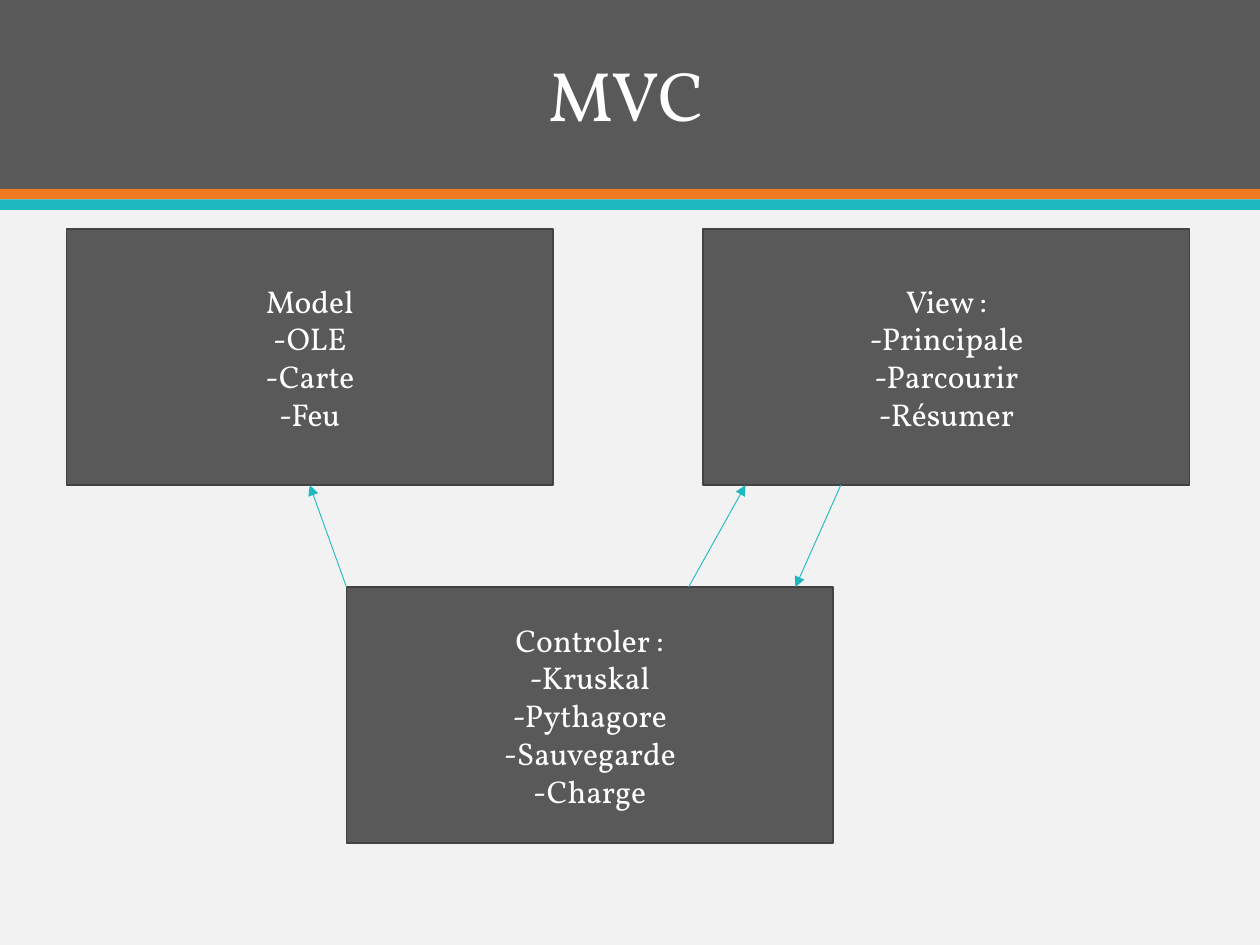
from dataclasses import dataclass

from lxml.etree import SubElement
from pptx import Presentation
from pptx.dml.color import RGBColor
from pptx.enum.shapes import MSO_CONNECTOR, MSO_SHAPE
from pptx.enum.text import MSO_ANCHOR, PP_ALIGN
from pptx.oxml.ns import qn
from pptx.util import Pt

WIDTH, HEIGHT = 720, 540
GREY, BORDER, TEAL, ORANGE = "595959", "424242", "1EB8C1", "EF7920"
WHITE, PAPER = "FFFFFF", "F2F2F2"
BOX_W, BOX_H = 278, 146.2
TOP_Y, LOW_Y = 131, 335.5
TOP_END = TOP_Y + BOX_H


@dataclass
class Band:
    y: float
    h: float
    fill: str


@dataclass
class Box:
    x: float
    y: float
    lines: list[str]


@dataclass
class Arrow:
    x1: float
    y1: float
    x2: float
    y2: float


BANDS = [Band(0, 108, GREY), Band(108, 6, ORANGE), Band(114, 6, TEAL)]
BOXES = [
    Box(38, TOP_Y, ["Model", "-OLE", "-Carte", "-Feu"]),
    Box(401.8, TOP_Y, ["View :", "-Principale", "-Parcourir", "-Résumer"]),
    Box(198, LOW_Y, ["Controler :", "-Kruskal", "-Pythagore", "-Sauvegarde", "-Charge"]),
]
ARROWS = [
    Arrow(198, LOW_Y, 177, TOP_END),
    Arrow(393.5, LOW_Y, 426, TOP_END),
    Arrow(480.5, TOP_END, 454.5, LOW_Y),
]


def rgb(value: str) -> RGBColor:
    return RGBColor.from_string(value)


def set_attrs(obj, values: dict) -> None:
    for name, value in values.items():
        setattr(obj, name, value)


def add_rect(s, x: float, y: float, w: float, h: float, fill: str, line: str = ""):
    sp = s.shapes.add_shape(MSO_SHAPE.RECTANGLE, Pt(x), Pt(y), Pt(w), Pt(h))
    sp.shadow.inherit = False
    sp.fill.solid()
    sp.fill.fore_color.rgb = rgb(fill)
    if line:
        sp.line.color.rgb = rgb(line)
        sp.line.width = Pt(1)
    else:
        sp.line.fill.background()
    return sp


def write(tf, lines: list[str], size: float, anchor: MSO_ANCHOR, spacing: float = 1.0) -> None:
    set_attrs(tf, {"word_wrap": True, "vertical_anchor": anchor})
    for i, line in enumerate(lines):
        p = tf.add_paragraph() if i else tf.paragraphs[0]
        set_attrs(p, {"alignment": PP_ALIGN.CENTER, "line_spacing": spacing})
        r = p.add_run()
        r.text = line
        set_attrs(r.font, {"name": "Vollkorn", "size": Pt(size)})
        r.font.color.rgb = rgb(WHITE)


def add_arrow(s, arrow: Arrow) -> None:
    ends = (Pt(v) for v in (arrow.x1, arrow.y1, arrow.x2, arrow.y2))
    cxn = s.shapes.add_connector(MSO_CONNECTOR.STRAIGHT, *ends)
    cxn.line.color.rgb = rgb(TEAL)
    cxn.line.width = Pt(0.5)
    SubElement(cxn.line._get_or_add_ln(), qn("a:tailEnd"), type="triangle")
    SubElement(cxn._element.spPr, qn("a:effectLst"))


def main() -> None:
    prs = Presentation()
    set_attrs(prs, {"slide_width": Pt(WIDTH), "slide_height": Pt(HEIGHT)})
    s = prs.slides.add_slide(prs.slide_layouts[6])
    s.background.fill.solid()
    s.background.fill.fore_color.rgb = rgb(PAPER)

    # Header bands and title
    for band in BANDS:
        add_rect(s, 0, band.y, WIDTH, band.h, band.fill)
    title = s.shapes.add_textbox(Pt(74), Pt(0), Pt(567.5), Pt(81.5))
    write(title.text_frame, ["MVC"], 40, MSO_ANCHOR.BOTTOM, 0.9)

    # Component boxes
    for box in BOXES:
        sp = add_rect(s, box.x, box.y, BOX_W, BOX_H, GREY, BORDER)
        write(sp.text_frame, box.lines, 18, MSO_ANCHOR.MIDDLE)

    # Links between components
    for arrow in ARROWS:
        add_arrow(s, arrow)

    prs.save("out.pptx")


if __name__ == "__main__":
    main()
